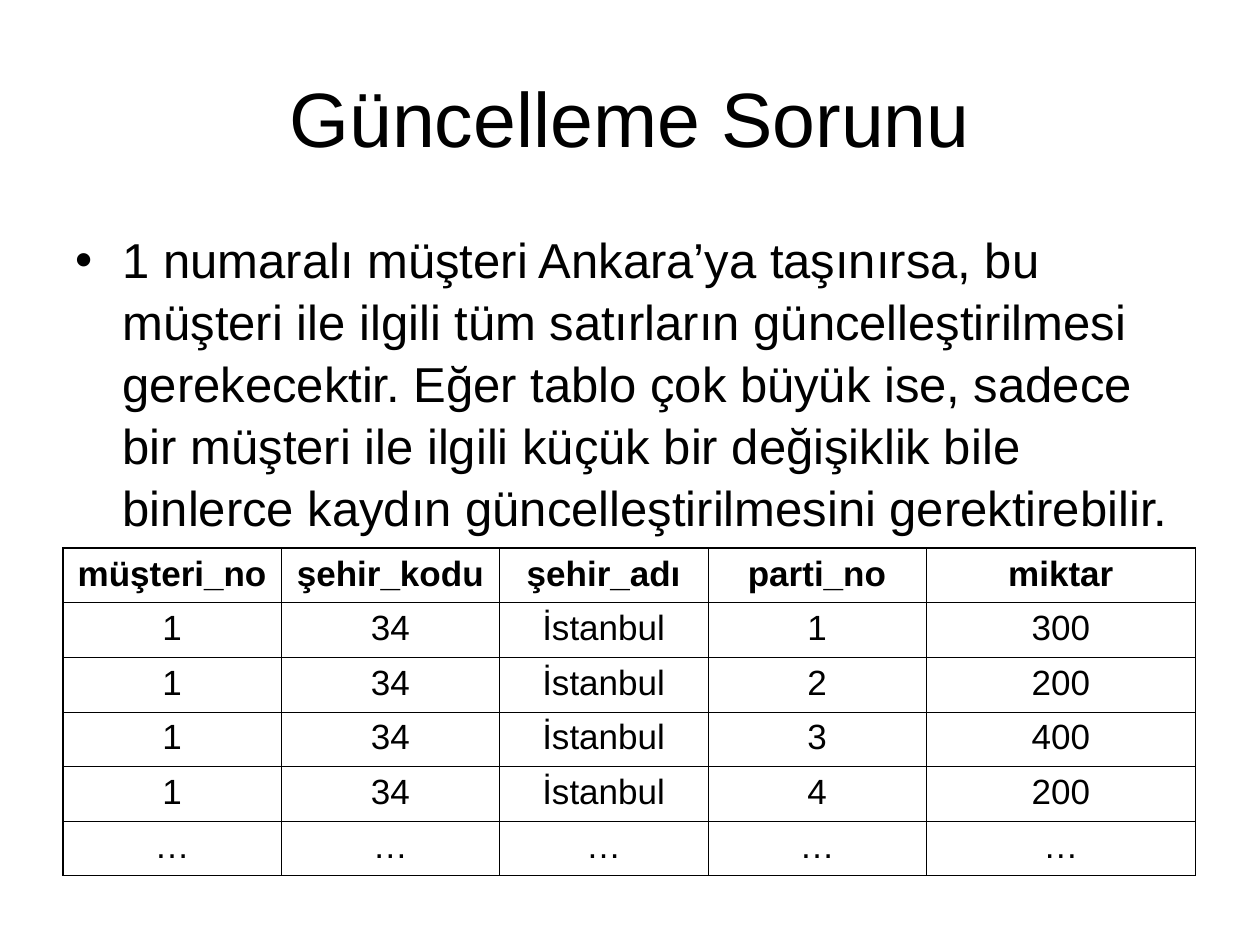
from dataclasses import dataclass

from lxml.etree import SubElement
from pptx import Presentation
from pptx.dml.color import RGBColor
from pptx.enum.text import MSO_ANCHOR, MSO_AUTO_SIZE, PP_ALIGN
from pptx.oxml.ns import qn
from pptx.util import Cm, Pt


@dataclass(frozen=True)
class Theme:
    font: str = "Arial"
    ink: str = "000000"
    paper: str = "FFFFFF"
    title_size: float = 44
    body_size: float = 28
    table_size: float = 20
    outer_line: float = 1.08
    inner_line: float = 0.45


THEME = Theme()

TITLE = "Güncelleme Sorunu"
BODY = (
    "1 numaralı müşteri Ankara’ya taşınırsa, bu müşteri ile ilgili tüm "
    "satırların güncelleştirilmesi gerekecektir. Eğer tablo çok büyük ise, "
    "sadece bir müşteri ile ilgili küçük bir değişiklik bile binlerce kaydın "
    "güncelleştirilmesini gerektirebilir."
)
HEADERS = ["müşteri_no", "şehir_kodu", "şehir_adı", "parti_no", "miktar"]
AMOUNTS = ["300", "200", "400", "200"]
ROWS = [
    HEADERS,
    *(["1", "34", "İstanbul", str(lot), amount]
      for lot, amount in enumerate(AMOUNTS, start=1)),
    ["…"] * len(HEADERS),
]

MARGIN = 1.27
CONTENT_WIDTH = 22.86
COLUMN_WIDTHS = [4.4, 4.4, 4.2, 4.4, 5.43]
ROW_HEIGHT = 1.1


def style_paragraph(para, size, align, bold=False):
    para.alignment = align
    for span in para.runs:
        span.font.name = THEME.font
        span.font.size = Pt(size)
        span.font.bold = bold
        span.font.color.rgb = RGBColor.from_string(THEME.ink)


def fill_placeholder(box, text, top, height, anchor):
    """Place a full-width placeholder and return its paragraph."""
    box.left, box.top = Cm(MARGIN), Cm(top)
    box.width, box.height = Cm(CONTENT_WIDTH), Cm(height)
    frame = box.text_frame
    frame.text = text
    frame.word_wrap = True
    frame.auto_size = MSO_AUTO_SIZE.NONE
    frame.vertical_anchor = anchor
    return frame.paragraphs[0]


def add_bullet(para, indent):
    properties = para._p.get_or_add_pPr()
    properties.set("marL", str(Cm(indent)))
    properties.set("indent", str(-Cm(indent)))
    colour = SubElement(properties, qn("a:buClr"))
    SubElement(colour, qn("a:srgbClr"), val=THEME.ink)
    SubElement(properties, qn("a:buFont"), typeface=THEME.font)
    SubElement(properties, qn("a:buChar"), char="•")


def add_title(slide):
    para = fill_placeholder(slide.shapes.title, TITLE, 0.76, 3.18, MSO_ANCHOR.MIDDLE)
    style_paragraph(para, THEME.title_size, PP_ALIGN.CENTER)


def add_body(slide):
    para = fill_placeholder(slide.placeholders[1], BODY, 4.45, 6.48, MSO_ANCHOR.TOP)
    add_bullet(para, 0.95)
    para.space_before = Pt(0)
    para.line_spacing = 1.05
    style_paragraph(para, THEME.body_size, PP_ALIGN.LEFT)


def set_borders(cell, outer_sides):
    """Draw all four borders, the heavier ones along the table's edge."""
    properties = cell._tc.get_or_add_tcPr()
    for side, is_outer in outer_sides.items():
        width = THEME.outer_line if is_outer else THEME.inner_line
        line = SubElement(properties, qn(f"a:ln{side}"), w=str(Pt(width)))
        fill = SubElement(line, qn("a:solidFill"))
        SubElement(fill, qn("a:srgbClr"), val=THEME.ink)


def add_sales_table(slide):
    row_count, column_count = len(ROWS), len(HEADERS)
    table = slide.shapes.add_table(
        row_count, column_count, Cm(MARGIN), Cm(11.05),
        Cm(sum(COLUMN_WIDTHS)), Cm(ROW_HEIGHT * row_count),
    ).table
    table.horz_banding = False
    for column, width in zip(table.columns, COLUMN_WIDTHS):
        column.width = Cm(width)
    for row_index, values in enumerate(ROWS):
        table.rows[row_index].height = Cm(ROW_HEIGHT)
        for column_index, value in enumerate(values):
            cell = table.cell(row_index, column_index)
            cell.text_frame.text = value
            style_paragraph(cell.text_frame.paragraphs[0], THEME.table_size,
                            PP_ALIGN.CENTER, bold=row_index == 0)
            set_borders(cell, {
                "L": column_index == 0,
                "R": column_index == column_count - 1,
                "T": row_index == 0,
                "B": row_index == row_count - 1,
            })
            cell.fill.background()


def main():
    deck = Presentation()
    deck.slide_width, deck.slide_height = Cm(25.4), Cm(19.05)
    slide = deck.slides.add_slide(deck.slide_layouts[1])
    slide.background.fill.solid()
    slide.background.fill.fore_color.rgb = RGBColor.from_string(THEME.paper)
    add_title(slide)
    add_body(slide)
    add_sales_table(slide)
    deck.save("out.pptx")


if __name__ == "__main__":
    main()
